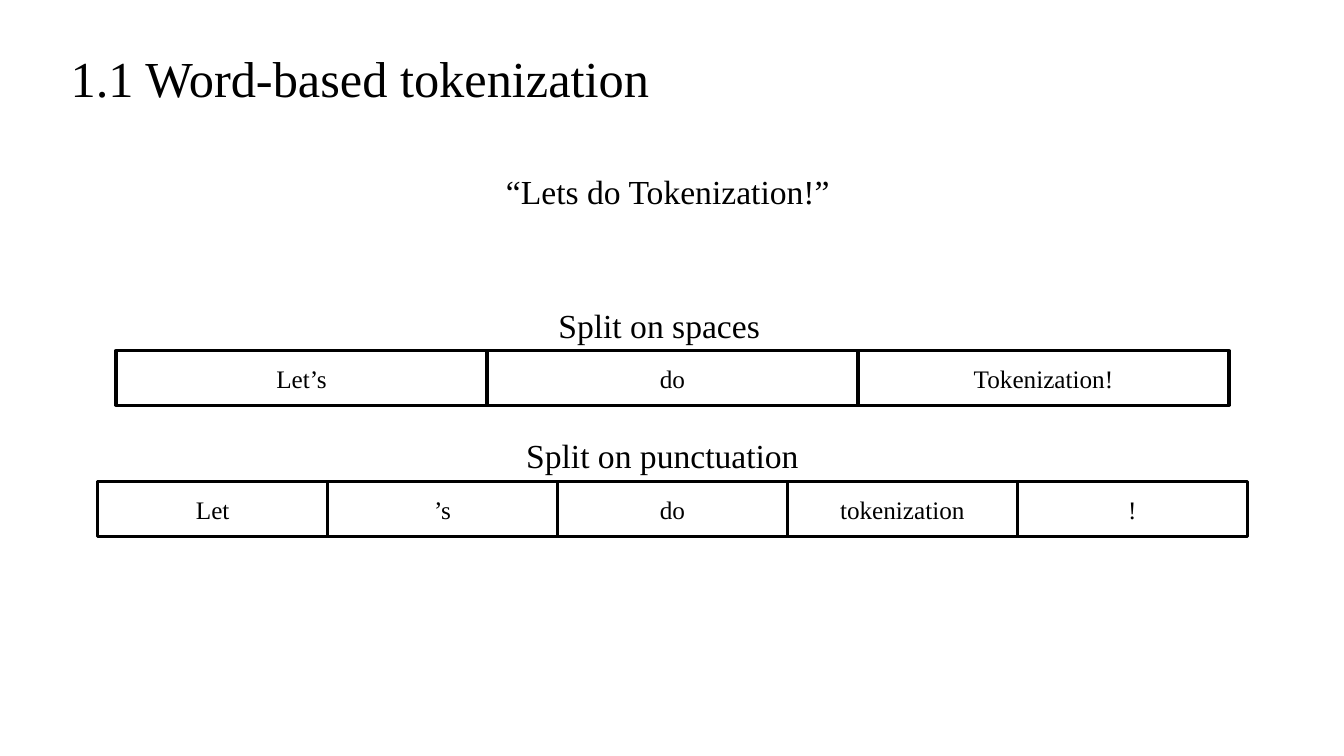
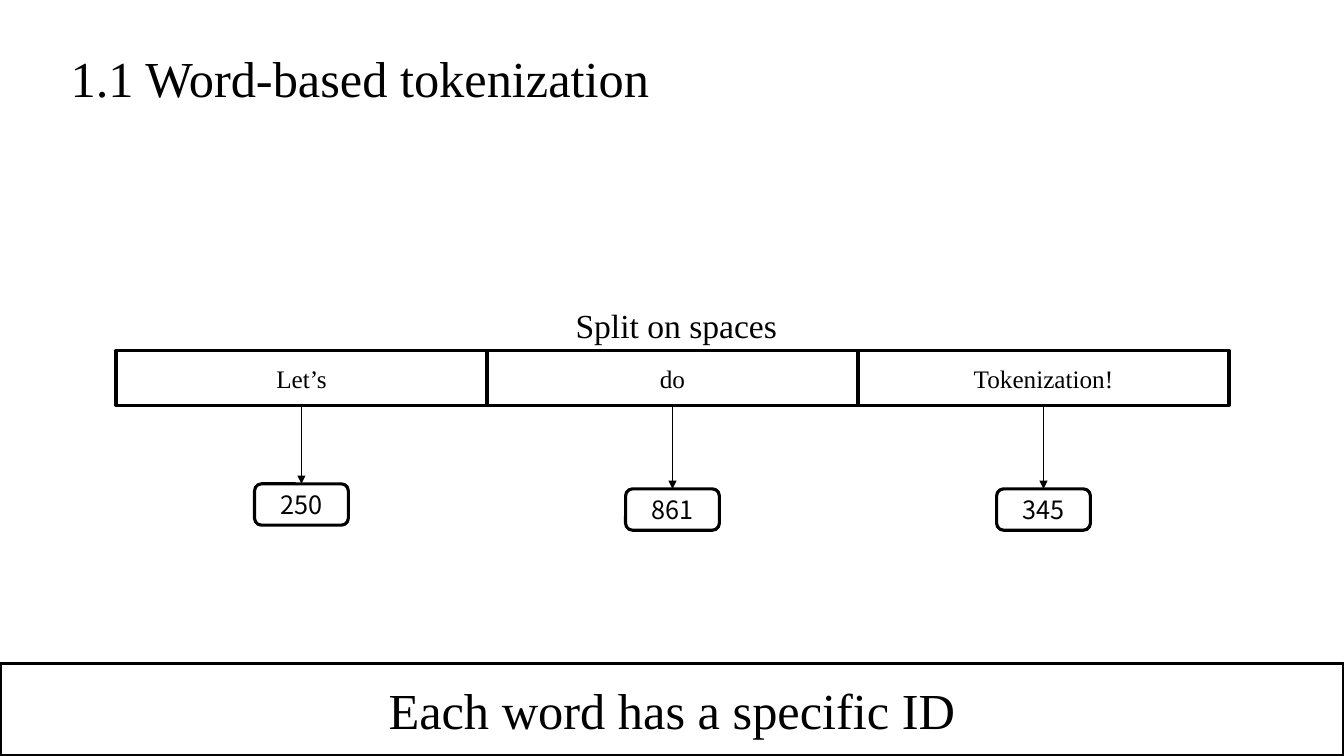
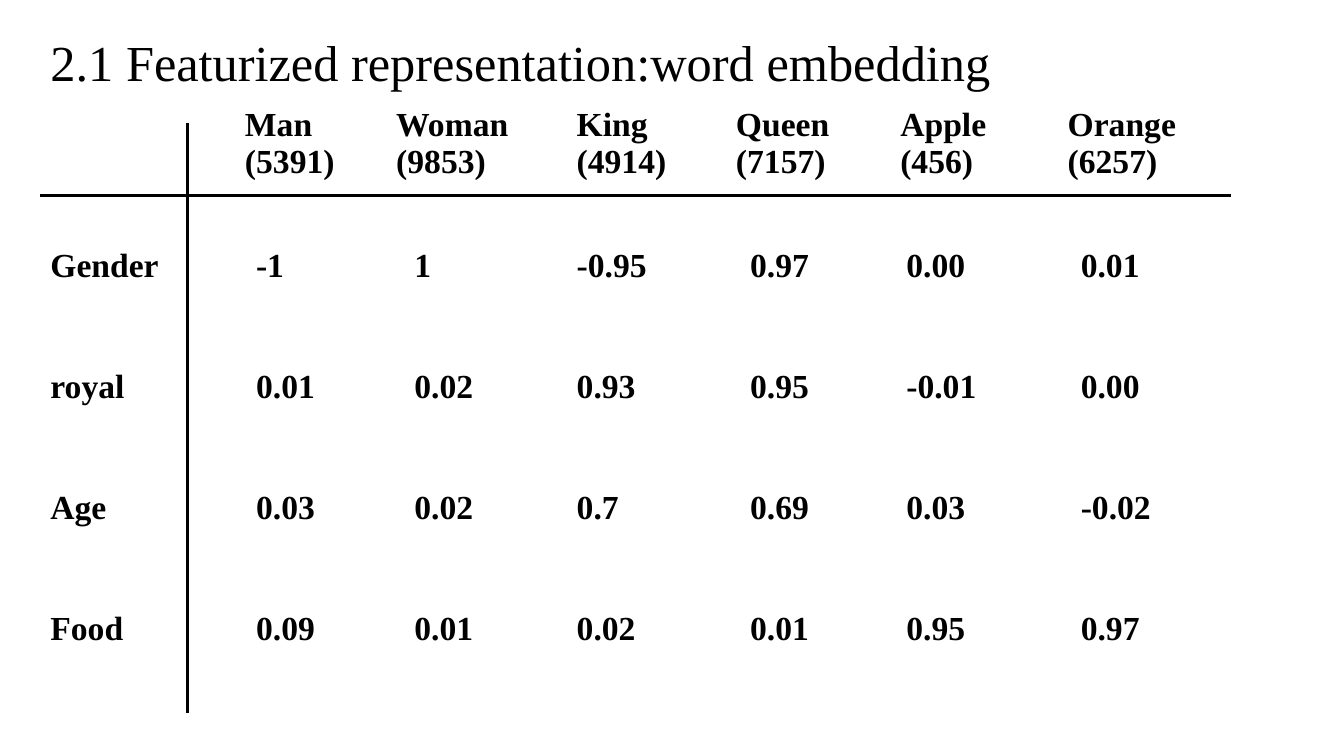
from lxml.etree import SubElement
from pptx import Presentation
from pptx.dml.color import RGBColor
from pptx.enum.shapes import MSO_CONNECTOR as Connector, MSO_SHAPE as Shape
from pptx.enum.text import MSO_ANCHOR as Anchor, MSO_AUTO_SIZE as AutoSize, PP_ALIGN as Align
from pptx.oxml.ns import qn
from pptx.util import Inches, Pt

BLACK = RGBColor(0x00, 0x00, 0x00)
SERIF = "Times New Roman"
SANS = "Noto Sans CJK SC"


def write(frame, text, size, align=Align.LEFT, font=SERIF, bold=False):
    """Fill a text frame with one paragraph for each line of text."""
    frame.word_wrap = True
    for index, line in enumerate(text.split("\n")):
        para = frame.add_paragraph() if index else frame.paragraphs[0]
        para.alignment = align
        span = para.add_run()
        span.text = line
        span.font.name = font
        span.font.size = Pt(size)
        span.font.bold = bold
        span.font.color.rgb = BLACK


def add_outlined_box(page, kind, left, top, width, height, text, size=18, font=SERIF):
    box = page.shapes.add_shape(kind, left, top, width, height)
    box.shadow.inherit = False
    box.fill.background()
    box.line.color.rgb = BLACK
    box.line.width = Pt(2.25)
    box.text_frame.vertical_anchor = Anchor.MIDDLE
    write(box.text_frame, text, size, Align.CENTER, font)
    return box


deck = Presentation()
deck.slide_width = Inches(13.33)
deck.slide_height = Inches(7.5)

# Pages and titles
pages = []
for text, left, top, width in [
    ("1.1 Word-based tokenization", 0.6, 0.42, 6.68),
    ("1.1 Word-based tokenization", 0.6, 0.42, 6.68),
    ("2.1 Featurized representation:word embedding", 0.4, 0.26, 10.72),
]:
    page = deck.slides.add_slide(deck.slide_layouts[5])
    title = page.shapes.title
    title.left, title.top = Inches(left), Inches(top)
    title.width, title.height = Inches(width), Inches(0.71)
    title.text_frame.auto_size = AutoSize.NONE
    title.text_frame.vertical_anchor = Anchor.TOP
    write(title.text_frame, text, 36)
    pages.append(page)
split_page, id_page, embedding_page = pages

# Captions
for page, text, left, top, width in [
    (split_page, "“Lets do Tokenization!”", 4.92, 1.65, 3.49),
    (split_page, "Split on spaces", 5.44, 2.98, 2.9),
    (split_page, "Split on punctuation", 5.12, 4.27, 3.09),
    (id_page, "Split on spaces", 5.61, 2.98, 2.9),
]:
    caption = page.shapes.add_textbox(Inches(left), Inches(top), Inches(width), Inches(0.5))
    write(caption.text_frame, text, 24)

# Rows of tokens
SPACE_TOKENS = ["Let’s", "do", "Tokenization!"]
PUNCTUATION_TOKENS = ["Let", "’s", "do", "tokenization", "!"]
for page, tokens, left, top, width in [
    (split_page, SPACE_TOKENS, 1.15, 3.48, 3.68),
    (split_page, PUNCTUATION_TOKENS, 0.97, 4.78, 2.28),
    (id_page, SPACE_TOKENS, 1.15, 3.48, 3.68),
]:
    token_boxes = [
        add_outlined_box(page, Shape.RECTANGLE, Inches(left + index * width), Inches(top),
                         Inches(width), Inches(0.54), token)
        for index, token in enumerate(tokens)
    ]

# Token IDs, under the last row of tokens
lines = []
id_width = Inches(0.93)
for token_box, number, top in zip(token_boxes, ["250", "861", "345"], [4.8, 4.85, 4.85]):
    left = token_box.left + (token_box.width - id_width) // 2
    id_box = add_outlined_box(id_page, Shape.ROUNDED_RECTANGLE, left, Inches(top),
                              id_width, Inches(0.41), number, font=SANS)
    arrow = id_page.shapes.add_connector(Connector.STRAIGHT, 0, 0, 0, 0)
    arrow.begin_connect(token_box, 2)
    arrow.end_connect(id_box, 0)
    arrow.line.width = Pt(0.5)
    arrow.line.color.rgb = BLACK
    SubElement(arrow._element.spPr.find(qn("a:ln")), qn("a:tailEnd"), type="triangle")
    lines.append(arrow)

add_outlined_box(id_page, Shape.RECTANGLE, 0, Inches(6.58), deck.slide_width, Inches(0.92),
                 "Each word has a specific ID", size=36)

# Embedding table: left edge, indent of the values, heading, values
COLUMNS = [
    (0.4, 0, "", ["Gender", "royal", "Age", "Food"]),
    (2.33, 0.11, "Man\n(5391)", ["-1", "0.01", "0.03", "0.09"]),
    (3.83, 0.18, "Woman\n(9853)", ["1", "0.02", "0.02", "0.01"]),
    (5.62, 0, "King\n(4914)", ["-0.95", "0.93", "0.7", "0.02"]),
    (7.2, 0.14, "Queen\n(7157)", ["0.97", "0.95", "0.69", "0.01"]),
    (8.83, 0.06, "Apple\n(456)", ["0.00", "-0.01", "0.03", "0.95"]),
    (10.49, 0.13, "Orange\n(6257)", ["0.01", "0.00", "-0.02", "0.97"]),
]
TABLE_RIGHT = 12.21
HEADING_TOP, HEADING_BOTTOM = 1.01, 1.94
ROW_HEIGHT = 1.2

table = embedding_page.shapes.add_table(
    5, len(COLUMNS), Inches(COLUMNS[0][0]), Inches(HEADING_TOP),
    Inches(TABLE_RIGHT - COLUMNS[0][0]),
    Inches(HEADING_BOTTOM - HEADING_TOP + 4 * ROW_HEIGHT)).table
table.first_row = table.horz_banding = False
for index, row in enumerate(table.rows):
    row.height = Inches(ROW_HEIGHT if index else HEADING_BOTTOM - HEADING_TOP)

edges = [column[0] for column in COLUMNS] + [TABLE_RIGHT]
for column_index, (left, indent, heading, values) in enumerate(COLUMNS):
    table.columns[column_index].width = Inches(edges[column_index + 1] - left)
    for row_index, text in enumerate([heading] + values):
        cell = table.cell(row_index, column_index)
        cell.fill.background()
        cell.vertical_anchor = Anchor.TOP
        cell.margin_left = Inches(0.1 + (indent if row_index else 0))
        cell.margin_right = 0
        cell.margin_top = Inches(0.52 if row_index else 0.05)
        cell.margin_bottom = 0
        if text:
            write(cell.text_frame, text, 24, bold=True)

for start_x, start_y, end_x, end_y in [
    (0.4, HEADING_BOTTOM, TABLE_RIGHT, HEADING_BOTTOM),
    (1.86, 1.22, 1.86, 7.07),
]:
    rule = embedding_page.shapes.add_connector(
        Connector.STRAIGHT, Inches(start_x), Inches(start_y), Inches(end_x), Inches(end_y))
    rule.line.width = Pt(2.25)
    rule.line.color.rgb = BLACK
    lines.append(rule)

# Lines cast no shadow
for line in lines:
    SubElement(line._element.spPr, qn("a:effectLst"))

deck.save("out.pptx")
